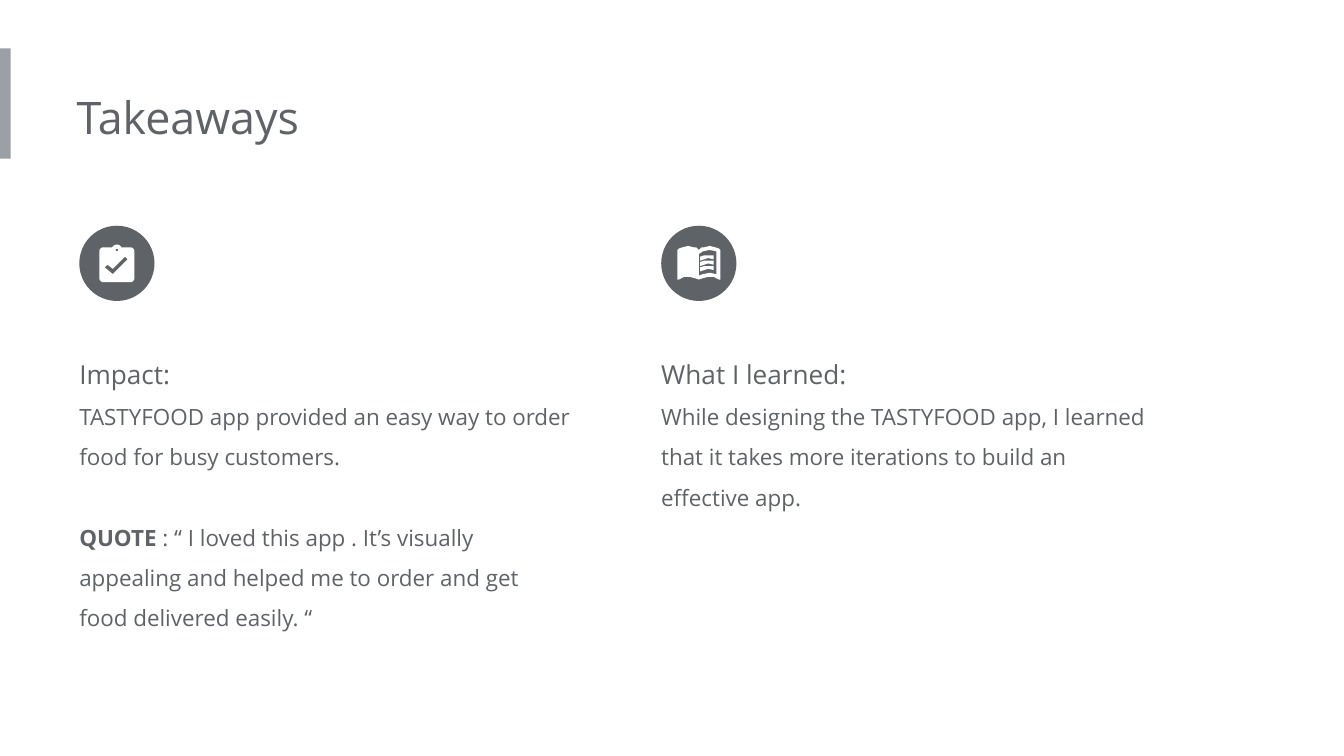
from math import cos, radians, sin

from pptx import Presentation
from pptx.dml.color import RGBColor
from pptx.enum.shapes import MSO_SHAPE as Shape
from pptx.enum.text import MSO_AUTO_SIZE as AutoSize
from pptx.util import Inches, Pt

DARK, GREY, WHITE = "5F6368", "9AA0A6", "FFFFFF"
FONT = "Open Sans"
COLUMN_LEFTS = (0.59, 4.92)
COLUMN_WIDTH = 3.77
ICON_TOP, ICON_SIZE = 1.68, 0.56


def color(hex_string):
    return RGBColor.from_string(hex_string)


def arc(x, y, radius, start, end, steps=8):
    """Points on a circle, with angles in degrees clockwise from the right."""
    angles = [radians(start + (end - start) * i / steps) for i in range(steps + 1)]
    return [(x + radius * cos(a), y + radius * sin(a)) for a in angles]


class SlideWriter:
    """Holds the text style and the slide being filled."""

    def __init__(self, slide, font, ink):
        self.slide, self.font, self.ink = slide, font, ink

    def paint(self, shape, fill):
        shape.shadow.inherit = False
        shape.fill.solid()
        shape.fill.fore_color.rgb = color(fill)
        shape.line.fill.background()

    def shape(self, kind, left, top, width, height, fill):
        shape = self.slide.shapes.add_shape(
            kind, Inches(left), Inches(top), Inches(width), Inches(height))
        self.paint(shape, fill)

    def outline(self, contours, fill):
        """Draw closed contours as one shape; inner contours become holes."""
        contours = [[(Inches(x), Inches(y)) for x, y in points] for points in contours]
        builder = self.slide.shapes.build_freeform(*contours[0][0])
        for index, points in enumerate(contours):
            if index:
                builder.move_to(*points[0])
            builder.add_line_segments(points[1:], close=True)
        self.paint(builder.convert_to_shape(), fill)

    def text(self, left, top, width, height, paragraphs, spacing=None):
        """Each paragraph is (size, space before, [(text, bold), ...])."""
        box = self.slide.shapes.add_textbox(
            Inches(left), Inches(top), Inches(width), Inches(height))
        frame = box.text_frame
        frame.word_wrap = True
        frame.auto_size = AutoSize.SHAPE_TO_FIT_TEXT
        frame.margin_left = 0
        frame.margin_top = frame.margin_right = frame.margin_bottom = Inches(0.1)
        for index, (size, space_before, runs) in enumerate(paragraphs):
            paragraph = frame.add_paragraph() if index else frame.paragraphs[0]
            paragraph.line_spacing = spacing
            paragraph.space_before = Pt(space_before)
            for text, bold in runs:
                run = paragraph.add_run()
                run.text = text
                run.font.name, run.font.size, run.font.bold = self.font, Pt(size), bold
                run.font.color.rgb = color(self.ink)


def draw_clipboard(writer):
    left, top, right, bottom, radius = 0.74, 1.84, 1.0, 2.1, 0.03
    middle = (left + right) / 2
    board = (
        arc(left + radius, top + radius, radius, 180, 270)
        + arc(middle, top + 0.02, 0.04, 210, 330)
        + arc(right - radius, top + radius, radius, 270, 360)
        + arc(right - radius, bottom - radius, radius, 0, 90)
        + arc(left + radius, bottom - radius, radius, 90, 180)
    )
    pin = arc(middle, top + 0.02, 0.01, 0, 360)
    check = [(0.84, 2.04), (0.78, 1.99), (0.8, 1.97), (0.84, 2.0), (0.93, 1.91), (0.95, 1.93)]
    writer.outline([board, pin, check], WHITE)


def draw_book(writer):
    spine = 5.2
    left_page = [
        (5.2, 2.08), (5.17, 2.07), (5.13, 2.06), (5.09, 2.06), (5.05, 2.08), (5.04, 2.08),
        (5.04, 1.86), (5.05, 1.85), (5.08, 1.84), (5.12, 1.83), (5.16, 1.84), (5.18, 1.84),
        (5.2, 1.86),
    ]
    right_page = [(2 * spine - x, y) for x, y in reversed(left_page[1:-1])]
    page_inside = [
        (5.2, 1.89), (5.23, 1.87), (5.28, 1.86), (5.33, 1.87),
        (5.33, 2.04), (5.28, 2.03), (5.23, 2.04), (5.2, 2.05),
    ]
    writer.outline([left_page + right_page, page_inside], WHITE)
    text_line = [
        (5.21, 1.91), (5.24, 1.9), (5.27, 1.9), (5.31, 1.9),
        (5.31, 1.93), (5.27, 1.92), (5.24, 1.93), (5.21, 1.94),
    ]
    for row in range(3):
        writer.outline([[(x, y + 0.04 * row) for x, y in text_line]], WHITE)


def main():
    presentation = Presentation()
    presentation.slide_width = Inches(10)
    presentation.slide_height = presentation.slide_width * 9 // 16
    slide = presentation.slides.add_slide(presentation.slide_layouts[6])
    writer = SlideWriter(slide, FONT, DARK)

    writer.shape(Shape.RECTANGLE, 0, 0.36, 0.08, 0.82, GREY)
    writer.text(0.57, 0.57, 5.39, 0.61, [(24, 0, [("Takeaways", False)])])

    impact = [
        (14, 0, [("Impact:", False)]),
        (12, 0, [("TASTYFOOD app provided an easy way to order food for busy customers.", False)]),
        (12, 21.5, [
            ("QUOTE ", True),
            (": “ I loved this app . It’s visually appealing and helped me to order "
             "and get food delivered easily. “", False),
        ]),
    ]
    learned = [
        (14, 0, [("What I learned:", False)]),
        (12, 0, [("While designing the TASTYFOOD app, I learned that it takes more "
                  "iterations to build an effective app.", False)]),
    ]
    columns = ((impact, 2.58, draw_clipboard), (learned, 1.36, draw_book))
    for left, (paragraphs, height, draw_icon) in zip(COLUMN_LEFTS, columns):
        writer.text(left, 2.45, COLUMN_WIDTH, height, paragraphs, spacing=1.5)
        writer.shape(Shape.OVAL, left, ICON_TOP, ICON_SIZE, ICON_SIZE, DARK)
        draw_icon(writer)

    presentation.save("out.pptx")


if __name__ == "__main__":
    main()
